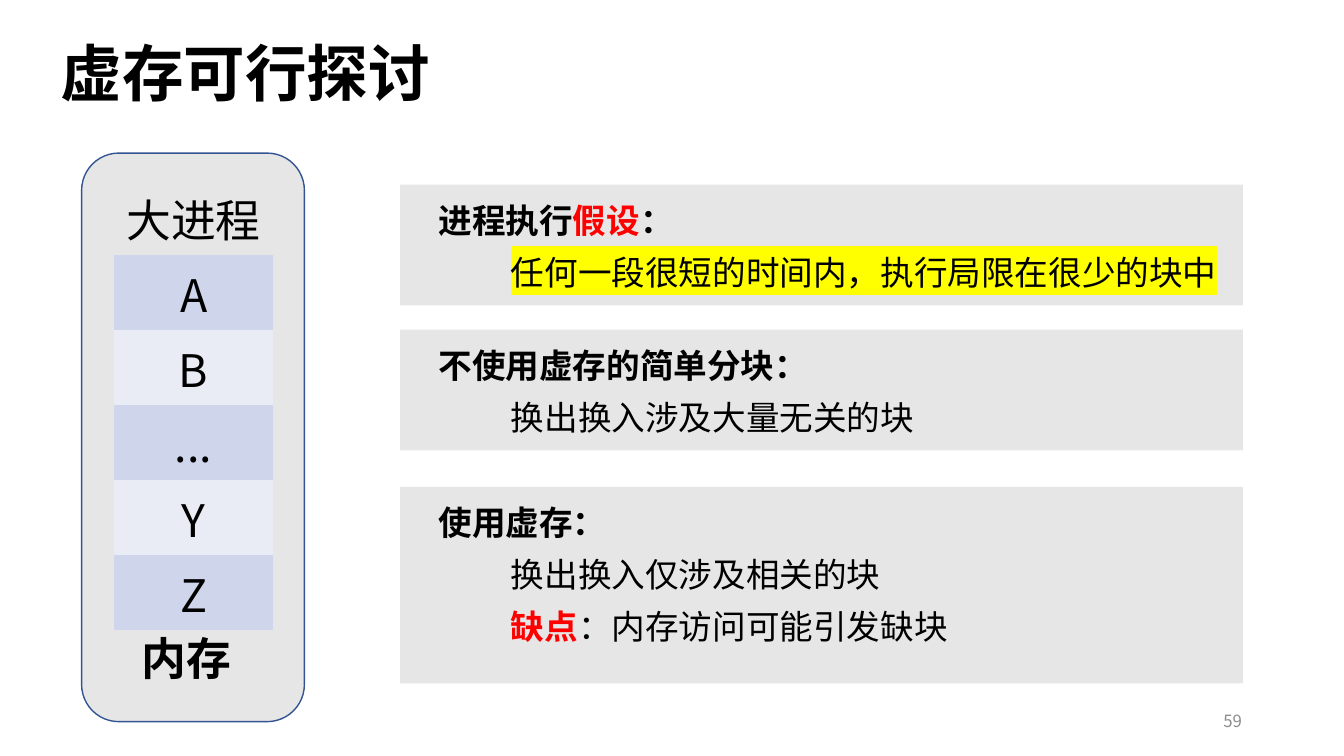
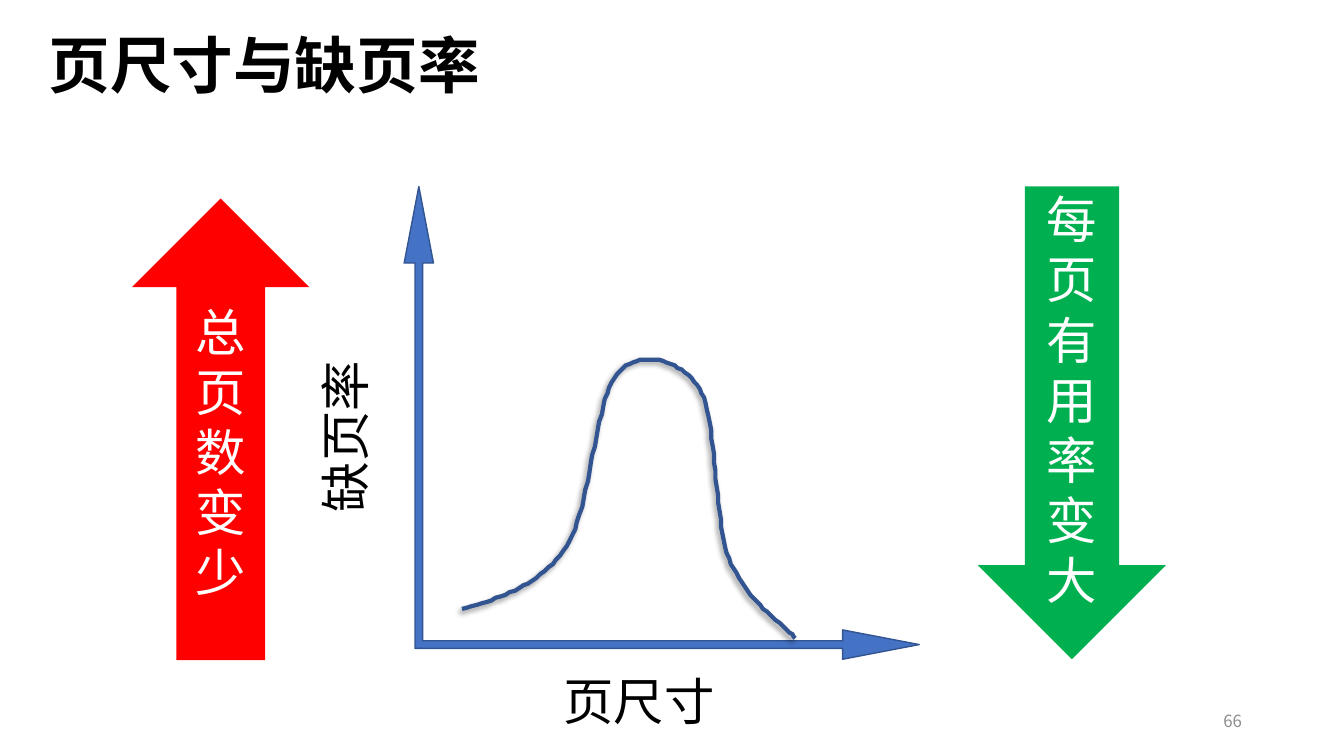
from dataclasses import dataclass
from typing import NamedTuple

from lxml import etree
from pptx import Presentation
from pptx.dml.color import RGBColor
from pptx.enum import shapes, text
from pptx.oxml.ns import qn
from pptx.util import Pt


@dataclass(frozen=True)
class Theme:
    font: str = "Noto Sans CJK SC"
    black: str = "000000"
    white: str = "FFFFFF"
    red: str = "FF0000"
    green: str = "00B050"
    blue: str = "4472C4"
    outline: str = "325491"
    panel: str = "E7E6E6"
    bands: tuple[str, str] = ("CFD5EA", "E9EBF5")
    highlight: str = "FFFF00"
    muted: str = "8C8C8C"
    title: int = 44
    label: int = 36
    cell: int = 32
    body: int = 24
    number: int = 12


T = Theme()


class Box(NamedTuple):
    x: float
    y: float
    w: float
    h: float

    def lengths(self) -> tuple:
        return tuple(Pt(v) for v in self)


@dataclass(frozen=True)
class Run:
    text: str
    color: str = T.black
    bold: bool = False
    highlight: str | None = None


@dataclass(frozen=True)
class Panel:
    y: float
    h: float
    heading: list[Run]
    points: list[list[Run]]


@dataclass(frozen=True)
class BlockArrow:
    kind: shapes.MSO_SHAPE
    box: Box
    color: str
    lines: list[str]


PANEL_X, PANEL_W = 285.8, 602
PANELS = [
    Panel(131.8, 86.4,
          [Run("进程执行", bold=True), Run("假设", T.red, True), Run("：", bold=True)],
          [[Run("任何一段很短的时间内，执行局限在很少的块中", highlight=T.highlight)]]),
    Panel(235.4, 86.4,
          [Run("不使用虚存的简单分块：", bold=True)],
          [[Run("换出换入涉及大量无关的块")]]),
    Panel(347.8, 140.4,
          [Run("使用虚存：", bold=True)],
          [[Run("换出换入仅涉及相关的块")],
           [Run("缺点", T.red, True), Run("：内存访问可能引发缺块")]]),
]
BLOCKS = ["大进程", "A", "B", "...", "Y", "Z"]
ARROWS = [
    BlockArrow(shapes.MSO_SHAPE.DOWN_ARROW, Box(698.4, 133.2, 134.6, 337.7),
               T.green, ["每", "页有用率变大"]),
    BlockArrow(shapes.MSO_SHAPE.UP_ARROW, Box(94.3, 141.8, 126.7, 329.8),
               T.red, ["总页数变少"]),
]
# Bell curve: a start point, then two controls and an end for each cubic segment
CURVE = [
    (330.5, 434.9),
    (357.8, 427), (385.9, 418.3), (404.6, 390.2),
    (422.6, 362.2), (424.8, 285.8), (440.6, 267.1),
    (456.5, 248.4), (486, 256.3), (499.7, 277.9),
    (512.6, 300.2), (509.8, 369.4), (520.6, 398.9),
    (532.1, 428.4), (559.4, 446.4), (568.1, 455.8),
]


def add_run(p, run: Run, size: float) -> None:
    r = p.add_run()
    r.text = run.text
    r.font.size = Pt(size)
    r.font.bold = run.bold
    r.font.color.rgb = RGBColor.from_string(run.color)
    props = r._r.get_or_add_rPr()
    if run.highlight:
        mark = etree.SubElement(props, qn("a:highlight"))
        etree.SubElement(mark, qn("a:srgbClr"), val=run.highlight)
    r.font.name = T.font
    etree.SubElement(props, qn("a:ea"), typeface=T.font)


def paint(sp, fill: str | None, line: str | None = None, width: float = 1) -> None:
    sp.shadow.inherit = False
    if fill:
        sp.fill.solid()
        sp.fill.fore_color.rgb = RGBColor.from_string(fill)
    else:
        sp.fill.background()
    if line:
        sp.line.color.rgb = RGBColor.from_string(line)
        sp.line.width = Pt(width)
    else:
        sp.line.fill.background()


def place(sp, box: Box) -> None:
    sp.left, sp.top, sp.width, sp.height = box.lengths()


def add_label(s, box: Box, run: Run, size: float, wrap: bool = False):
    tf = s.shapes.add_textbox(*box.lengths()).text_frame
    tf.word_wrap = wrap
    add_run(tf.paragraphs[0], run, size)
    return tf


def start_slide(prs, layout: int, title: str, box: Box, number: int):
    s = prs.slides.add_slide(prs.slide_layouts[layout])
    sp = s.shapes.title
    place(sp, box)
    tf = sp.text_frame
    tf.auto_size = text.MSO_AUTO_SIZE.NONE
    tf.vertical_anchor = text.MSO_ANCHOR.MIDDLE
    p = tf.paragraphs[0]
    p.alignment = text.PP_ALIGN.LEFT
    p.line_spacing = 0.9
    add_run(p, Run(title, bold=True), T.title)

    tf = add_label(s, Box(678.2, 500.4, 216, 28.8), Run(str(number), T.muted),
                   T.number, wrap=True)
    tf.vertical_anchor = text.MSO_ANCHOR.MIDDLE
    tf.paragraphs[0].alignment = text.PP_ALIGN.RIGHT
    return s


def fill_panel(sp, panel: Panel) -> None:
    place(sp, Box(PANEL_X, panel.y, PANEL_W, panel.h))
    paint(sp, T.panel)
    tf = sp.text_frame
    tf.word_wrap = True
    tf.auto_size = text.MSO_AUTO_SIZE.NONE
    tf.vertical_anchor = text.MSO_ANCHOR.TOP
    tf.margin_left, tf.margin_top = Pt(27.4), Pt(10.8)
    tf.margin_right = tf.margin_bottom = 0
    for i, runs in enumerate([panel.heading, *panel.points]):
        p = tf.add_paragraph() if i else tf.paragraphs[0]
        p.space_before = Pt(8.4 if i else 0)
        p.alignment = text.PP_ALIGN.LEFT
        props = p._p.get_or_add_pPr()
        props.set("marL", str(Pt(51.8 if i else 0)))
        props.set("indent", "0")
        etree.SubElement(props, qn("a:buNone"))
        for run in runs:
            add_run(p, run, T.body)


def add_blocks(s, box: Box) -> None:
    """Stack the blocks of the process under its name."""
    tbl = s.shapes.add_table(len(BLOCKS), 1, *box.lengths()).table
    tbl.first_row = tbl.horz_banding = False
    # The style without borders or fills
    style = tbl._tbl.tblPr.find(qn("a:tableStyleId"))
    style.text = "{2D5ABB26-0587-4C30-8999-92F81FD0307C}"
    for i, name in enumerate(BLOCKS):
        tbl.rows[i].height = Pt(box.h / len(BLOCKS))
        cell = tbl.cell(i, 0)
        if i:
            cell.fill.solid()
            cell.fill.fore_color.rgb = RGBColor.from_string(T.bands[(i - 1) % 2])
        else:
            cell.fill.background()
        p = cell.text_frame.paragraphs[0]
        p.alignment = text.PP_ALIGN.CENTER
        add_run(p, Run(name), T.cell)


def add_block_arrow(s, arrow: BlockArrow) -> None:
    sp = s.shapes.add_shape(arrow.kind, *arrow.box.lengths())
    paint(sp, arrow.color)
    tf = sp.text_frame
    tf.word_wrap = True
    tf.vertical_anchor = text.MSO_ANCHOR.MIDDLE
    for i, line in enumerate(arrow.lines):
        p = tf.add_paragraph() if i else tf.paragraphs[0]
        p.alignment = text.PP_ALIGN.CENTER
        p.line_spacing = Pt(43)
        add_run(p, Run(line, T.white), T.label)


def add_axes(s) -> None:
    sp = s.shapes.add_shape(shapes.MSO_SHAPE.LEFT_UP_ARROW,
                            *Box(288.7, 133.2, 367.9, 337.7).lengths())
    for i, value in enumerate((0.016, 0.031, 0.162)):
        sp.adjustments[i] = value
    sp._element.spPr.find(qn("a:xfrm")).set("flipH", "1")
    paint(sp, T.blue, T.outline)


def bezier(a, b, c, d, t: float) -> tuple[float, float]:
    u = 1 - t
    return tuple(u**3 * a[i] + 3 * u * u * t * b[i] + 3 * u * t * t * c[i] + t**3 * d[i]
                 for i in range(2))


def add_curve(s, steps: int = 24) -> None:
    points = [bezier(*CURVE[k:k + 4], n / steps)
              for k in range(0, len(CURVE) - 1, 3) for n in range(1, steps + 1)]
    builder = s.shapes.build_freeform(*CURVE[0], scale=float(Pt(1)))
    builder.add_line_segments(points, close=False)
    sp = builder.convert_to_shape()
    paint(sp, None, T.outline, 3)
    effects = sp._element.spPr.find(qn("a:effectLst"))
    shadow = etree.SubElement(effects, qn("a:outerShdw"), blurRad=str(Pt(4)),
                              dist=str(Pt(3)), dir=str(135 * 60000), rotWithShape="0")
    color = etree.SubElement(shadow, qn("a:srgbClr"), val=T.black)
    etree.SubElement(color, qn("a:alpha"), val="40000")


def build_memory_slide(prs) -> None:
    s = start_slide(prs, 4, "虚存可行探讨", Box(36, 16.6, 290.2, 75.6), 59)
    *bodies, spare = [ph for ph in s.placeholders if ph.placeholder_format.idx]
    for sp, panel in zip(bodies, PANELS):
        fill_panel(sp, panel)
    spare._element.getparent().remove(spare._element)

    memory = s.shapes.add_shape(shapes.MSO_SHAPE.ROUNDED_RECTANGLE,
                                *Box(58.3, 109.4, 159.1, 406.1).lengths())
    paint(memory, T.panel, T.outline)
    add_blocks(s, Box(81.4, 128.9, 113.8, 321.6))
    add_label(s, Box(94.3, 447.1, 78.5, 46.1), Run("内存", bold=True), T.cell)


def build_page_size_slide(prs) -> None:
    s = start_slide(prs, 5, "页尺寸与缺页率", Box(27.4, 14.4, 460.8, 69.1), 66)
    for arrow in ARROWS:
        add_block_arrow(s, arrow)
    add_axes(s)
    add_curve(s)
    add_label(s, Box(395.3, 475.2, 123.8, 51.1), Run("页尺寸"), T.label)
    tf = add_label(s, Box(221, 256.3, 58.3, 116.6), Run("缺页率"), T.label)
    tf._txBody.bodyPr.set("vert", "vert270")


def main() -> None:
    prs = Presentation()
    prs.slide_width, prs.slide_height = Pt(960), Pt(540)
    build_memory_slide(prs)
    build_page_size_slide(prs)
    prs.save("out.pptx")


if __name__ == "__main__":
    main()
